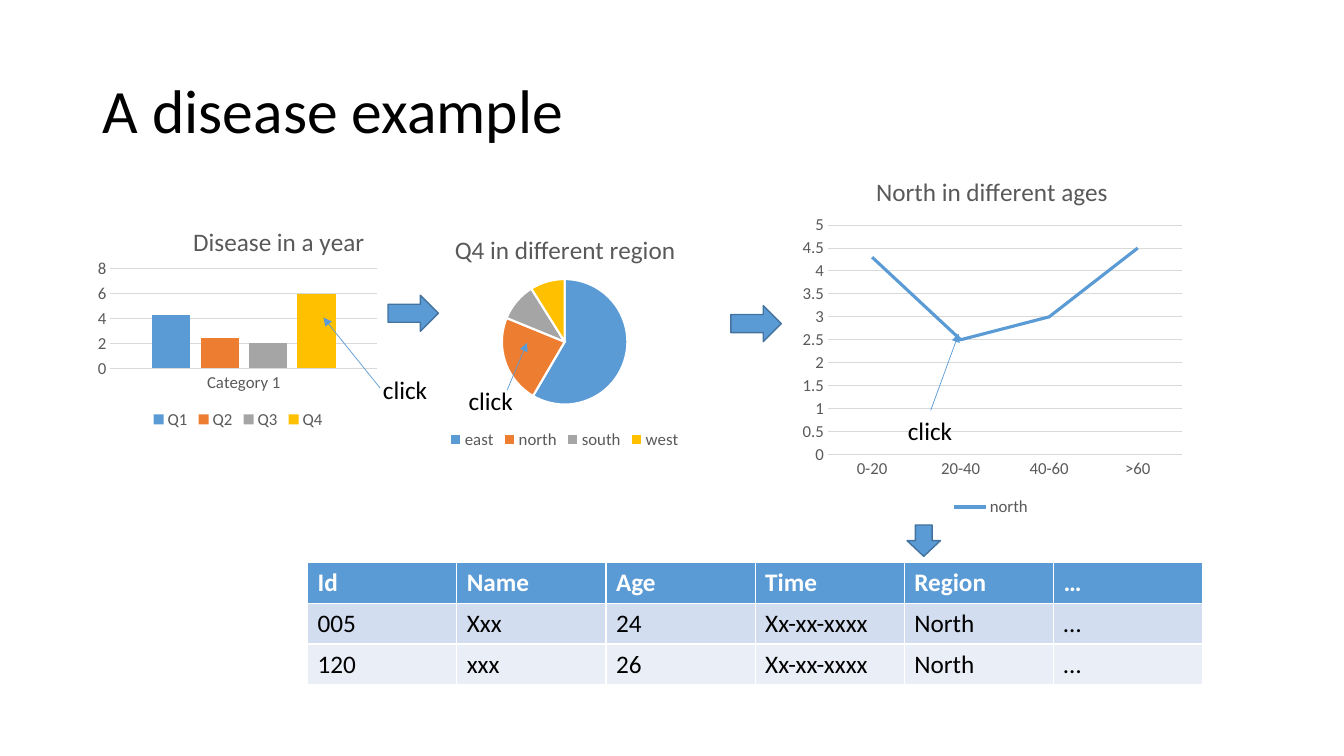
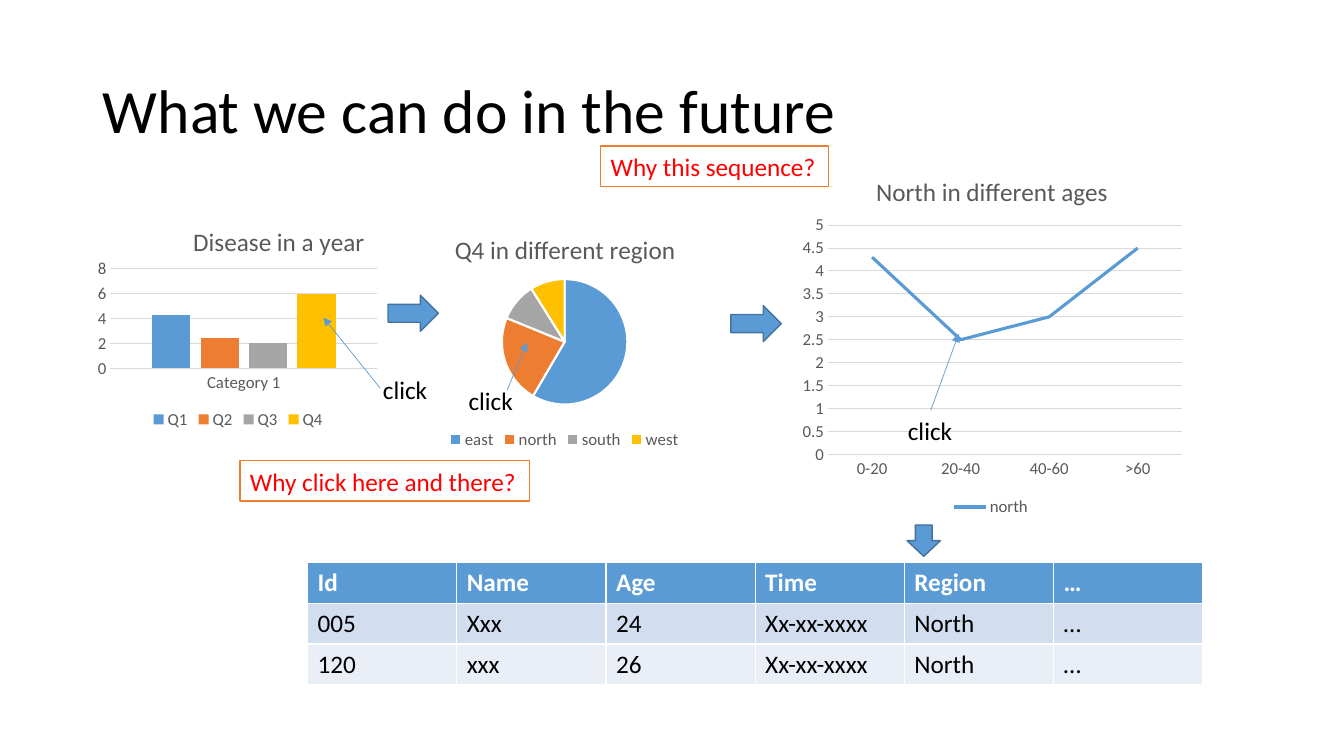
from dataclasses import dataclass

from lxml import etree
from pptx import Presentation
from pptx.chart.data import CategoryChartData
from pptx.dml.color import RGBColor
from pptx.enum.chart import XL_CHART_TYPE, XL_LEGEND_POSITION, XL_TICK_MARK
from pptx.enum.shapes import MSO_CONNECTOR, MSO_SHAPE
from pptx.enum.text import MSO_ANCHOR, MSO_AUTO_SIZE, PP_ALIGN
from pptx.oxml.ns import qn
from pptx.util import Cm, Pt

COLUMN = XL_CHART_TYPE.COLUMN_CLUSTERED
PIE = XL_CHART_TYPE.PIE
LINE = XL_CHART_TYPE.LINE_STACKED
LEGEND_BOTTOM = XL_LEGEND_POSITION.BOTTOM
NO_TICK = XL_TICK_MARK.NONE
STRAIGHT = MSO_CONNECTOR.STRAIGHT
RECTANGLE = MSO_SHAPE.RECTANGLE
RIGHT_ARROW = MSO_SHAPE.RIGHT_ARROW
DOWN_ARROW = MSO_SHAPE.DOWN_ARROW
MIDDLE = MSO_ANCHOR.MIDDLE
LEFT = PP_ALIGN.LEFT
FIT_TEXT = MSO_AUTO_SIZE.SHAPE_TO_FIT_TEXT
TITLE_ONLY = 5
TOP_SIDE = 0


def rgb(code):
    return RGBColor.from_string(code)


@dataclass(frozen=True)
class Theme:
    font: str = "Calibri"
    black: RGBColor = rgb("000000")
    white: RGBColor = rgb("FFFFFF")
    red: RGBColor = rgb("FF0000")
    gray: RGBColor = rgb("595959")
    grid: RGBColor = rgb("D9D9D9")
    blue: RGBColor = rgb("5B9BD5")
    dark_blue: RGBColor = rgb("43739E")
    orange: RGBColor = rgb("ED7D31")
    series: tuple = (blue, orange, rgb("A5A5A5"), rgb("FFC000"))
    bands: tuple = (rgb("D2DEEF"), rgb("EAEFF7"))
    title_size: Pt = Pt(44)
    text_size: Pt = Pt(18)
    chart_size: Pt = Pt(12)


def cm(*lengths):
    return [Cm(length) for length in lengths]


def set_layout(parent, **fractions):
    """Place a chart title or plot area by fractions of the chart's size."""
    old = parent.find(qn("c:layout"))
    if old is not None:
        parent.remove(old)
    layout = etree.Element(qn("c:layout"))
    manual = etree.SubElement(layout, qn("c:manualLayout"))
    if "w" in fractions:
        etree.SubElement(manual, qn("c:layoutTarget"), val="inner")
    for mode in ("xMode", "yMode"):
        etree.SubElement(manual, qn(f"c:{mode}"), val="edge")
    for key, value in fractions.items():
        etree.SubElement(manual, qn(f"c:{key}"), val=str(value))
    parent.insert(0 if parent.find(qn("c:tx")) is None else 1, layout)


class Deck:
    def __init__(self, theme):
        self.theme = theme
        self.presentation = Presentation()
        self.presentation.slide_width, self.presentation.slide_height = cm(33.87, 19.05)
        self.slide = None

    def style(self, font, size, color, bold=False):
        font.name, font.size, font.bold = self.theme.font, size, bold
        font.color.rgb = color

    def add_slide(self, heading):
        self.slide = self.presentation.slides.add_slide(
            self.presentation.slide_layouts[TITLE_ONLY])
        title = self.slide.shapes.title
        title.left, title.top, title.width, title.height = cm(2.34, 1.02, 29.21, 3.68)
        title.text_frame.text = heading
        title.text_frame.vertical_anchor = MIDDLE
        paragraph = title.text_frame.paragraphs[0]
        paragraph.alignment = LEFT
        paragraph.line_spacing = 0.9
        self.style(paragraph.runs[0].font, self.theme.title_size, self.theme.black)

    def add_chart(self, kind, box, heading, categories, series, title_at, plot_at):
        data = CategoryChartData()
        data.categories = categories
        for name, values in series:
            data.add_series(name, values)
        chart = self.slide.shapes.add_chart(kind, *cm(*box), data).chart
        self.style(chart.font, self.theme.chart_size, self.theme.gray)
        chart.has_title = True
        chart.chart_title.include_in_layout = False
        chart.chart_title.text_frame.text = heading
        heading_run = chart.chart_title.text_frame.paragraphs[0].runs[0]
        self.style(heading_run.font, self.theme.text_size, self.theme.gray)
        set_layout(chart.element.find(".//" + qn("c:title")),
                   **dict(zip("xy", title_at)))
        set_layout(chart.element.find(".//" + qn("c:plotArea")),
                   **dict(zip("xywh", plot_at)))
        chart.has_legend = True
        chart.legend.position = LEGEND_BOTTOM
        chart.legend.include_in_layout = False
        self.style(chart.legend.font, self.theme.chart_size, self.theme.gray)
        return chart

    def format_axes(self, chart, maximum, step):
        for axis in (chart.category_axis, chart.value_axis):
            axis.major_tick_mark = axis.minor_tick_mark = NO_TICK
            self.style(axis.tick_labels.font, self.theme.chart_size, self.theme.gray)
        values = chart.value_axis
        values.minimum_scale, values.maximum_scale, values.major_unit = 0, maximum, step
        values.format.line.fill.background()
        for line in (chart.category_axis.format.line, values.major_gridlines.format.line):
            line.color.rgb = self.theme.grid
            line.width = Pt(0.75)

    def add_column_chart(self, *content, maximum, step):
        chart = self.add_chart(COLUMN, *content)
        self.format_axes(chart, maximum, step)
        plot = chart.plots[0]
        plot.vary_by_categories = False
        plot.gap_width, plot.overlap = 219, -27
        for quarter, color in zip(plot.series, self.theme.series):
            quarter.format.fill.solid()
            quarter.format.fill.fore_color.rgb = color

    def add_pie_chart(self, *content):
        plot = self.add_chart(PIE, *content).plots[0]
        plot.vary_by_categories = True
        for index, color in enumerate(self.theme.series):
            wedge = plot.series[0].points[index].format
            wedge.fill.solid()
            wedge.fill.fore_color.rgb = color
            wedge.line.color.rgb = self.theme.white
            wedge.line.width = Pt(1.5)

    def add_line_chart(self, *content, maximum, step):
        chart = self.add_chart(LINE, *content)
        self.format_axes(chart, maximum, step)
        plot = chart.plots[0]
        plot.vary_by_categories = False
        for curve in plot.series:
            curve.smooth = False
            curve.format.line.color.rgb = self.theme.blue
            curve.format.line.width = Pt(2.25)

    def add_table(self, left, top, column_width, row_height, rows):
        columns = len(rows[0])
        table = self.slide.shapes.add_table(
            len(rows), columns,
            *cm(left, top, column_width * columns, row_height * len(rows))).table
        for row_index, row in enumerate(rows):
            header = row_index == 0
            fill = self.theme.blue if header else self.theme.bands[(row_index - 1) % 2]
            color = self.theme.white if header else self.theme.black
            for column_index, value in enumerate(row):
                cell = table.cell(row_index, column_index)
                cell.fill.solid()
                cell.fill.fore_color.rgb = fill
                cell.text_frame.text = value
                run = cell.text_frame.paragraphs[0].runs[0]
                self.style(run.font, self.theme.text_size, color, bold=header)

    def add_shape(self, kind, box, fill, line):
        shape = self.slide.shapes.add_shape(kind, *cm(*box))
        shape.shadow.inherit = False
        shape.fill.solid()
        shape.fill.fore_color.rgb = fill
        shape.line.color.rgb = line
        shape.line.width = Pt(1)
        return shape

    def add_block_arrow(self, kind, *box):
        self.add_shape(kind, box, self.theme.blue, self.theme.dark_blue)

    def set_text(self, shape, text, color):
        frame = shape.text_frame
        frame.word_wrap = False
        frame.auto_size = FIT_TEXT
        frame.text = text
        frame.paragraphs[0].alignment = LEFT
        self.style(frame.paragraphs[0].runs[0].font, self.theme.text_size, color)

    def add_label(self, text, left, top):
        label = self.slide.shapes.add_textbox(*cm(left, top, 1.65, 1.02))
        self.set_text(label, text, self.theme.black)
        return label

    def add_question(self, text, left, top, width):
        box = (left, top, width, 1.02)
        question = self.add_shape(RECTANGLE, box, self.theme.white, self.theme.orange)
        self.set_text(question, text, self.theme.red)

    def add_pointer(self, start, end):
        pointer = self.slide.shapes.add_connector(STRAIGHT, *cm(*start, *end))
        pointer.line.color.rgb = self.theme.blue
        pointer.line.width = Pt(0.5)
        properties = pointer.element.find(qn("p:spPr"))
        etree.SubElement(properties.find(qn("a:ln")), qn("a:tailEnd"), type="triangle")
        etree.SubElement(properties, qn("a:effectLst"))
        return pointer


RECORDS = (
    ("Id", "Name", "Age", "Time", "Region", "…"),
    ("005", "Xxx", "24", "Xx-xx-xxxx", "North", "…"),
    ("120", "xxx", "26", "Xx-xx-xxxx", "North", "…"),
)


def add_drill_down(deck):
    """Draw the path from the yearly chart down to single records."""
    deck.add_column_chart(
        (2.34, 5.08, 7.32, 5.84), "Disease in a year", ["Category 1"],
        [("Q1", [4.3]), ("Q2", [2.4]), ("Q3", [2]), ("Q4", [6])],
        (0.33, 0.08), (0.06, 0.29, 0.92, 0.43), maximum=8, step=2)
    deck.add_pie_chart(
        (9.58, 5.31, 9.3, 6.12), "Q4 in different region",
        ["east", "north", "south", "west"], [("Series 1", [59, 23, 10, 9])],
        (0.19, 0.07), (0.33, 0.28, 0.34, 0.52))
    deck.add_line_chart(
        (19.96, 3.81, 10.03, 9.32), "North in different ages",
        ["0-20", "20-40", "40-60", ">60"], [("north", [4.3, 2.5, 3, 4.5])],
        (0.2, 0.05), (0.09, 0.2, 0.89, 0.62), maximum=5, step=0.5)
    deck.add_table(7.75, 14.17, 3.76, 1.03, RECORDS)
    deck.add_block_arrow(RIGHT_ARROW, 9.78, 7.44, 1.27, 0.91)
    deck.add_block_arrow(RIGHT_ARROW, 18.42, 7.7, 1.27, 0.91)
    deck.add_block_arrow(DOWN_ARROW, 22.86, 13.23, 0.84, 0.79)
    deck.add_label("click", 9.4, 9.3)
    deck.add_pointer((9.58, 9.78), (8.15, 8))
    deck.add_label("click", 11.56, 9.58)
    deck.add_pointer((12.78, 9.83), (13.28, 8.64))
    age_click = deck.add_label("click", 22.63, 10.34)
    deck.add_pointer((23.45, 10.34), (24.16, 8.41)).begin_connect(age_click, TOP_SIDE)


def main():
    deck = Deck(Theme())
    deck.add_slide("A disease example")
    add_drill_down(deck)
    deck.add_slide("What we can do in the future")
    add_drill_down(deck)
    deck.add_question("Why this sequence?", 15.14, 3.68, 5.74)
    deck.add_question("Why click here and there?", 6.05, 11.61, 7.29)
    deck.presentation.save("out.pptx")


if __name__ == "__main__":
    main()
